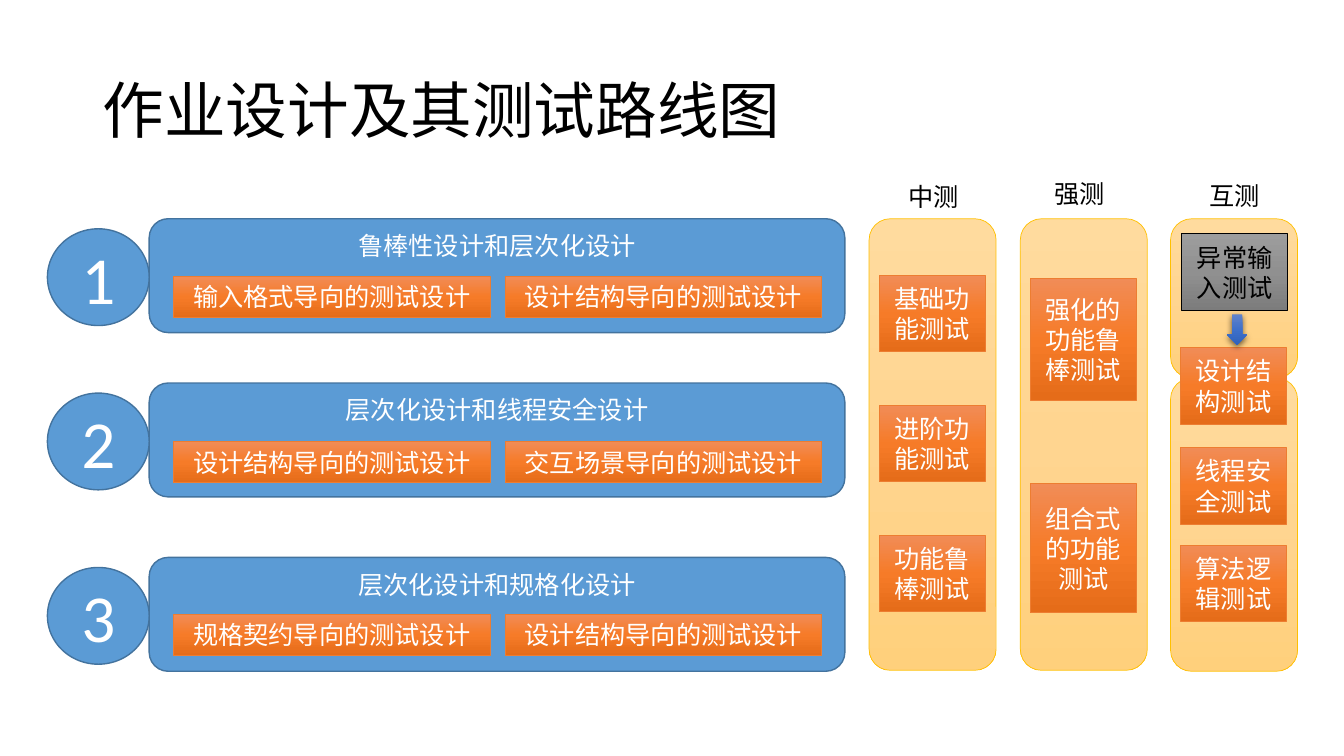
import copy

import pptx
import pptx.dml.color
import pptx.enum.shapes
import pptx.enum.text
import pptx.oxml
import pptx.oxml.ns
import pptx.util

Inches = pptx.util.Inches
SHAPE = pptx.enum.shapes.MSO_SHAPE
ANCHOR = pptx.enum.text.MSO_ANCHOR
ALIGN = pptx.enum.text.PP_ALIGN

FONT = "Calibri"
BLUE, BLUE_LINE = "5B9BD5", "43739E"
ORANGE, ORANGE_LINE = ("F18C57", "F67B28", "E56C19"), "ED7D31"
YELLOW, YELLOW_LINE = ("FFDB9E", "FFD590", "FFD07C"), "FFC000"
GRAY = ("9D9D9D", "909090", "7C7C7C")
ARROW_BLUE = ("6183CB", "3E70CA", "3062BB")
BLACK, WHITE = "000000", "FFFFFF"

# Top of the row, top of its two boxes, heading, box texts
ROWS = [
    (2.17, 2.74, "鲁棒性设计和层次化设计", ("输入格式导向的测试设计", "设计结构导向的测试设计")),
    (3.8, 4.38, "层次化设计和线程安全设计", ("设计结构导向的测试设计", "交互场景导向的测试设计")),
    (5.53, 6.09, "层次化设计和规格化设计", ("规格契约导向的测试设计", "设计结构导向的测试设计")),
]

# Left, label, label left and top, panels (top, height), boxes (top, height, text)
COLUMNS = [
    (8.62, "中测", 8.91, 1.75, [(2.17, 4.48)],
     [(2.73, 0.76, "基础功能测试"), (4.02, 0.76, "进阶功能测试"), (5.31, 0.76, "功能鲁棒测试")]),
    (10.12, "强测", 10.36, 1.72, [(2.17, 4.48)],
     [(2.76, 1.21, "强化的功能鲁棒测试"), (4.8, 1.28, "组合式的功能测试")]),
    (11.61, "互测", 11.9, 1.74, [(3.75, 2.91), (2.17, 1.58)],
     [(3.45, 0.76, "设计结构测试"), (4.44, 0.76, "线程安全测试"), (5.41, 0.76, "算法逻辑测试")]),
]


def rgb(value):
    return pptx.dml.color.RGBColor.from_string(value)


def write(sp, text, size=18, color=WHITE, align=ALIGN.CENTER,
          anchor=ANCHOR.MIDDLE, top=0.05, spacing=None):
    tf = sp.text_frame
    tf.word_wrap = True
    tf.vertical_anchor = anchor
    tf.margin_top = Inches(top)
    p = tf.paragraphs[0]
    p.alignment = align
    p.line_spacing = spacing
    r = p.add_run()
    r.text = text
    r.font.size = pptx.util.Pt(size)
    r.font.name = FONT
    r.font.color.rgb = rgb(color)


def add_text(s, box, text, **style):
    sp = s.shapes.add_textbox(*map(Inches, box))
    write(sp, text, align=ALIGN.LEFT, color=BLACK, **style)


def fill_gradient(sp, colors):
    """Top-to-bottom gradient with three even stops."""
    sp.fill.gradient()
    sp.fill.gradient_angle = 270
    stops = sp.element.spPr.find(".//" + pptx.oxml.ns.qn("a:gsLst"))
    stops.insert(1, copy.deepcopy(stops[0]))
    for stop, position, color in zip(sp.fill.gradient_stops, (0, 0.5, 1), colors):
        stop.position = position
        stop.color.rgb = rgb(color)


def add_block(s, kind, box, fill, line=None, width=0.5):
    sp = s.shapes.add_shape(kind, *map(Inches, box))
    sp.shadow.inherit = False
    if isinstance(fill, str):
        sp.fill.solid()
        sp.fill.fore_color.rgb = rgb(fill)
    else:
        fill_gradient(sp, fill)
    if line:
        sp.line.color.rgb = rgb(line)
        sp.line.width = pptx.util.Pt(width)
    else:
        sp.line.fill.background()
    return sp


def add_test(s, box, text, fill=ORANGE, line=ORANGE_LINE, color=WHITE):
    write(add_block(s, SHAPE.RECTANGLE, box, fill, line), text, color=color)


def add_row(s, number, top, box_top, heading, tests):
    bar = add_block(s, SHAPE.ROUNDED_RECTANGLE, (1.48, top, 6.9, 1.13), BLUE, BLUE_LINE, 1)
    write(bar, heading, anchor=ANCHOR.TOP, top=0.06)
    for i, text in enumerate(tests):
        add_test(s, (1.72 + 3.29 * i, box_top, 3.14, 0.41), text)
    circle = add_block(s, SHAPE.OVAL, (0.47, top + 0.1, 1.01, 0.96), BLUE, BLUE_LINE, 1)
    write(circle, str(number), size=48)


def add_column(s, left, label, label_left, label_top, panels, tests):
    for top, height in panels:
        add_block(s, SHAPE.ROUNDED_RECTANGLE, (left, top, 1.26, height), YELLOW, YELLOW_LINE)
    add_text(s, (label_left, label_top, 0.78, 0.4), label, anchor=ANCHOR.TOP)
    for top, height, text in tests:
        add_test(s, (left + 0.1, top, 1.05, height), text)


def add_down_arrow(s, box):
    sp = add_block(s, SHAPE.DOWN_ARROW, box, ARROW_BLUE)
    effects = sp.element.spPr.find(pptx.oxml.ns.qn("a:effectLst"))
    effects.append(pptx.oxml.parse_xml(
        f'<a:outerShdw {pptx.oxml.ns.nsdecls("a")} blurRad="57150" dist="19050" '
        'dir="5400000" algn="ctr" rotWithShape="0"><a:srgbClr val="000000">'
        '<a:alpha val="63000"/></a:srgbClr></a:outerShdw>'))


def main():
    prs = pptx.Presentation()
    prs.slide_width, prs.slide_height = Inches(13.33), Inches(7.5)
    s = prs.slides.add_slide(prs.slide_layouts[6])

    # Title
    add_text(s, (0.92, 0.4, 11.5, 1.45), "作业设计及其测试路线图", size=44, spacing=0.9)

    # Numbered assignment rows
    for number, row in enumerate(ROWS, 1):
        add_row(s, number, *row)

    # Test columns
    for column in COLUMNS:
        add_column(s, *column)

    # Abnormal input test leading to the design structure test
    add_test(s, (11.72, 2.32, 1.05, 0.76), "异常输入测试", GRAY, BLACK, BLACK)
    add_down_arrow(s, (12.17, 3.12, 0.2, 0.3))

    prs.save("out.pptx")


if __name__ == "__main__":
    main()
